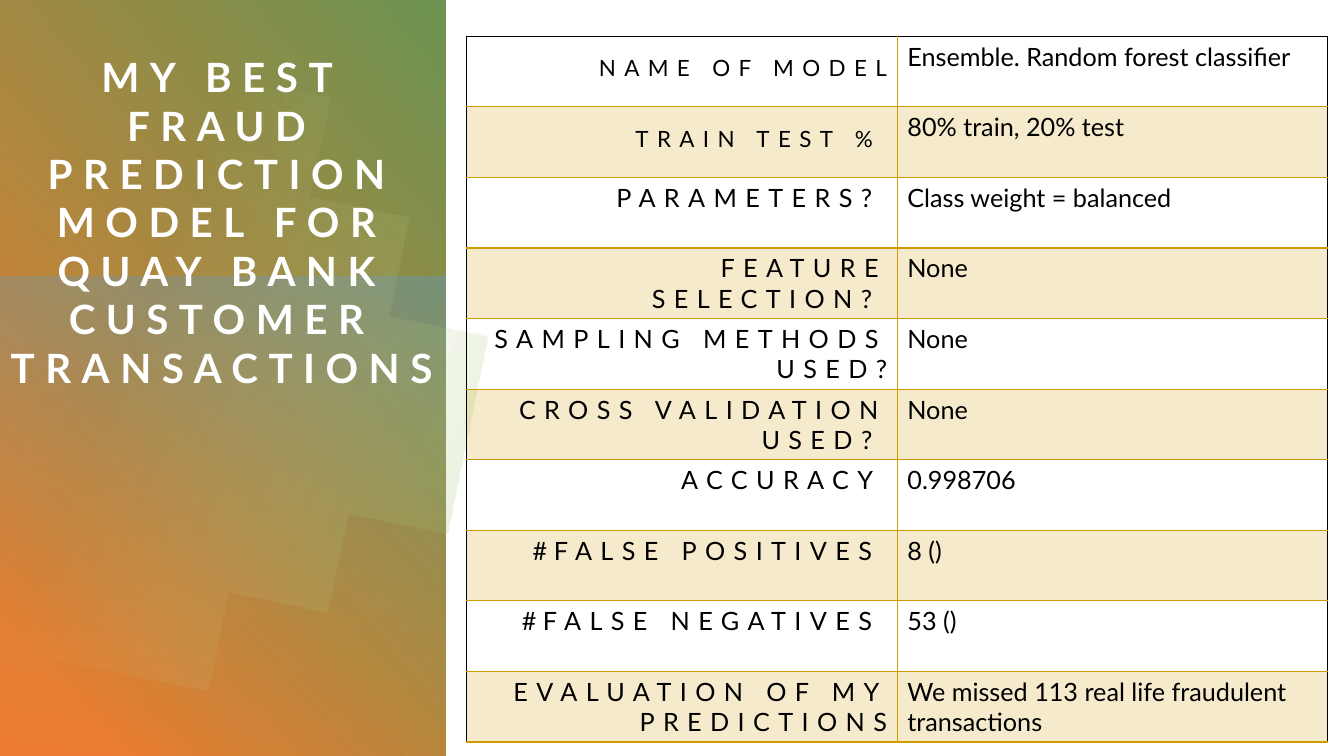
import math

from lxml import etree
from pptx import Presentation
from pptx import util as u
from pptx.dml.color import RGBColor
from pptx.enum import shapes, text
from pptx.oxml.ns import qn

GOLD = "CF9B00"
BLACK = "000000"
WHITE = "FFFFFF"


def paint_gradient(shape, stops, angle):
    shape.shadow.inherit = False
    shape.line.fill.background()
    shape.fill.gradient()
    shape.fill.gradient_angle = 360 - angle
    stop_list = shape.fill._fill._gradFill.find(qn("a:gsLst"))
    for stop in list(stop_list):
        stop_list.remove(stop)
    for position, color, opacity in stops:
        stop = etree.SubElement(stop_list, qn("a:gs"), pos=str(position * 1000))
        tone = etree.SubElement(stop, qn("a:srgbClr"), val=color)
        etree.SubElement(tone, qn("a:alpha"), val=str(opacity * 1000))


def add_span(para, words, size, color, spacing=0, bold=False):
    span = para.add_run()
    span.text = words
    span.font.name = "Lato"
    span.font.size = u.Pt(size)
    span.font.bold = bold
    span.font.color.rgb = RGBColor.from_string(color)
    span._r.get_or_add_rPr().set("spc", str(int(spacing * 100)))


deck = Presentation()
deck.slide_width = u.Inches(13.33)
deck.slide_height = u.Inches(7.5)
page = deck.slides.add_slide(deck.slide_layouts[5])
title = page.shapes.title

panel = page.shapes.add_shape(
    shapes.MSO_SHAPE.RECTANGLE, u.Inches(-1.55), u.Inches(1.55), u.Inches(7.52), u.Inches(4.42)
)
panel.rotation = 90
panel._element.spPr.find(qn("a:xfrm")).set("flipH", "1")
paint_gradient(panel, [(11, "ED7D31", 100), (100, "548235", 85)], 310)

haze = page.shapes.add_shape(
    shapes.MSO_SHAPE.RECTANGLE, u.Inches(-0.17), u.Inches(2.91), u.Inches(4.76), u.Inches(4.42)
)
haze.rotation = 270
paint_gradient(haze, [(0, "5B9BD5", 35), (100, "70AD47", 0)], 190)

radius = 2.63
tilt = 101.6
half_arc = math.degrees(math.acos(-1.43 / radius))
steps = 120
arc = []
for step in range(steps + 1):
    angle = math.radians(half_arc * (2 * step / steps - 1) - tilt)
    arc.append((radius * math.cos(angle), radius * math.sin(angle)))
builder = page.shapes.build_freeform(*arc[0], scale=u.Inches(1))
builder.add_line_segments(arc[1:], close=True)
disc = builder.convert_to_shape()
disc.left, disc.top = u.Inches(-0.82), u.Inches(1.31)
disc.rotation = tilt
paint_gradient(disc, [(39, "FFF0C2", 0), (100, "70AD47", 29)], 280)

title.left, title.top = u.Inches(0.05), u.Inches(0.52)
title.width, title.height = u.Inches(4.3), u.Inches(3.01)
page.shapes._spTree.append(title._element)
frame = title.text_frame
frame.word_wrap = True
frame.auto_size = text.MSO_AUTO_SIZE.NONE
frame.vertical_anchor = text.MSO_ANCHOR.TOP
frame.margin_left = frame.margin_right = frame.margin_top = frame.margin_bottom = 0
heading = frame.paragraphs[0]
heading.alignment = text.PP_ALIGN.CENTER
heading.line_spacing = 1.0
add_span(heading, "MY BEST FRAUD PREDICTION MODEL FOR QUAY BANK", 28.8, WHITE, 7.5, True)
heading.add_line_break()
add_span(heading, "CUSTOMER TRANSACTIONS", 28.8, WHITE, 7.5, True)

facts = [
    ("NAME OF MODEL", "Ensemble. Random forest classifier"),
    ("TRAIN TEST % ", "80% train, 20% test"),
    ("PARAMETERS? ", "Class weight = balanced"),
    ("FEATURE SELECTION? ", "None"),
    ("SAMPLING METHODS USED?", "None"),
    ("CROSS VALIDATION USED? ", "None"),
    ("ACCURACY ", "0.998706"),
    ("# FALSE POSITIVES ", "8 ()"),
    ("# FALSE NEGATIVES ", "53 ()"),
    ("EVALUATION OF MY PREDICTIONS", "We missed 113 real life fraudulent transactions"),
]
table = page.shapes.add_table(
    len(facts), 2, u.Inches(4.63), u.Inches(0.36), u.Inches(8.54), u.Inches(7)
).table
table.first_row = False
table.horz_banding = False

for row, (label, value) in enumerate(facts):
    table.rows[row].height = u.Inches(0.7)
    label_cell, value_cell = table.cell(row, 0), table.cell(row, 1)

    para = label_cell.text_frame.paragraphs[0]
    para.alignment = text.PP_ALIGN.RIGHT
    size = 18
    if row < 2:
        size = 16
        para.line_spacing = 1.5
        para.space_before = u.Pt(10)
    if label.startswith("# "):
        add_span(para, "# ", size, BLACK)
        label = label[2:]
    add_span(para, label, size, BLACK, 6)
    add_span(value_cell.text_frame.paragraphs[0], value, 18, BLACK)

    top = GOLD if row else BLACK
    for cell, left, right in ((label_cell, BLACK, GOLD), (value_cell, GOLD, BLACK)):
        if row % 2:
            cell.fill.solid()
            cell.fill.fore_color.rgb = RGBColor.from_string(GOLD)
            tone = cell._tc.tcPr.find(".//" + qn("a:srgbClr"))
            etree.SubElement(tone, qn("a:alpha"), val="20000")
        else:
            cell.fill.background()
        edges = (("a:lnL", left), ("a:lnR", right), ("a:lnT", top), ("a:lnB", GOLD))
        for order, (edge, color) in enumerate(edges):
            border = etree.Element(qn(edge), w=str(u.Pt(1)))
            solid = etree.SubElement(border, qn("a:solidFill"))
            etree.SubElement(solid, qn("a:srgbClr"), val=color)
            cell._tc.tcPr.insert(order, border)

deck.save("out.pptx")
